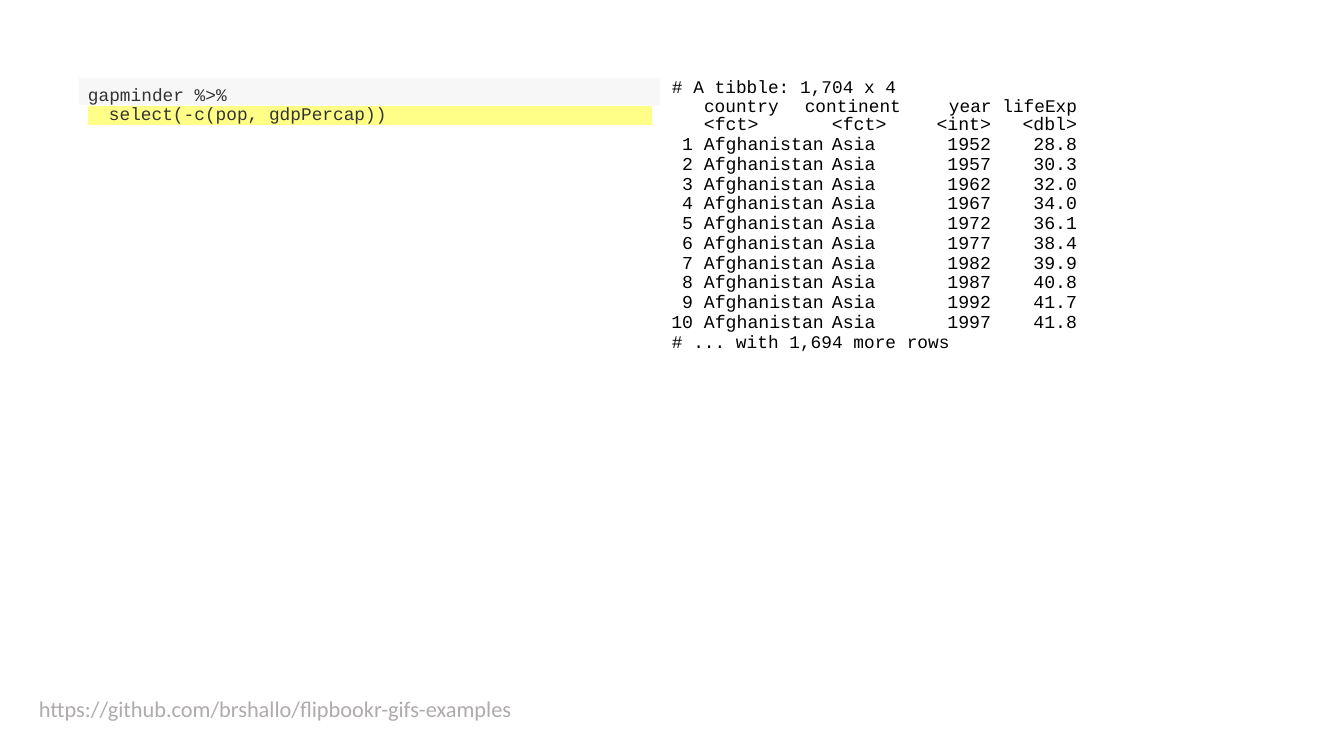
from dataclasses import dataclass

from lxml import etree
from pptx import Presentation
from pptx.dml.color import RGBColor
from pptx.enum.shapes import MSO_SHAPE
from pptx.enum.text import MSO_ANCHOR, PP_ALIGN
from pptx.oxml.ns import qn
from pptx.util import Pt

RECT = MSO_SHAPE.RECTANGLE
TOP = MSO_ANCHOR.TOP
LEFT, RIGHT = PP_ALIGN.LEFT, PP_ALIGN.RIGHT
EMU_PER_PX = 914400 / 100.8
NO_GRID_STYLE = "{2D5ABB26-0587-4C30-8999-92F81FD0307C}"


@dataclass(frozen=True)
class Theme:
    code_font: str = "Courier New"
    link_font: str = "Calibri"
    code_color: str = "333333"
    output_color: str = "000000"
    link_color: str = "AFABAB"
    code_fill: str = "F7F7F7"
    highlight_fill: str = "FFFF87"
    code_size: float = 12.7
    table_size: float = 13
    empty_size: float = 10
    link_size: float = 16


THEME = Theme()


def px(n):
    return round(n * EMU_PER_PX)


def write(p, text, font, size, color, align=LEFT, indent=0, leading=None, tab=None):
    pPr = p._p.get_or_add_pPr()
    pPr.set("marL", str(px(indent)))
    pPr.set("indent", "0")
    p.alignment = align
    if leading:
        p.line_spacing = Pt(leading)
    if tab:
        tabs = etree.SubElement(pPr, qn("a:tabLst"))
        etree.SubElement(tabs, qn("a:tab"), pos=str(px(tab)), algn="l")
    if not text:
        etree.SubElement(p._p, qn("a:endParaRPr"), sz=str(round(THEME.empty_size * 100)))
        return
    r = p.add_run()
    r.text = text
    r.font.name = font
    r.font.size = Pt(size)
    r.font.color.rgb = RGBColor.from_string(color)


class Page:
    def __init__(self, prs, theme):
        self.theme = theme
        self.s = prs.slides.add_slide(prs.slide_layouts[6])

    def frame(self, sp, insets):
        tf = sp.text_frame
        tf.word_wrap = True
        tf.vertical_anchor = TOP
        tf.margin_left, tf.margin_top, tf.margin_right, tf.margin_bottom = map(px, insets)
        return tf

    def code_line(self, box, text, fill, top=0, **fmt):
        t = self.theme
        sp = self.s.shapes.add_shape(RECT, *map(px, box))
        sp.shadow.inherit = False
        sp.fill.solid()
        sp.fill.fore_color.rgb = RGBColor.from_string(fill)
        sp.line.fill.background()
        tf = self.frame(sp, (0, top, 0, 0))
        write(tf.paragraphs[0], text, t.code_font, t.code_size, t.code_color, **fmt)

    def output(self, box, lines, top=1):
        t = self.theme
        tf = self.frame(self.s.shapes.add_textbox(*map(px, box)), (0, top, 0, 0))
        for i, (text, fmt) in enumerate(lines):
            p = tf.add_paragraph() if i else tf.paragraphs[0]
            write(p, text, t.code_font, t.code_size, t.output_color, **fmt)

    def link(self, box, text):
        t = self.theme
        tf = self.frame(self.s.shapes.add_textbox(*map(px, box)), (10, 5, 10, 5))
        write(tf.paragraphs[0], text, t.link_font, t.link_size, t.link_color)

    def table(self, x, y, height, columns, rows):
        t = self.theme
        width = sum(w for w, _, _ in columns)
        tbl = self.s.shapes.add_table(
            len(rows), len(columns), px(x), px(y), px(width), px(height)).table
        tbl.first_row = tbl.horz_banding = False
        tbl._tbl.tblPr.find(qn("a:tableStyleId")).text = NO_GRID_STYLE
        for row in tbl.rows:
            row.height = px(height) // len(rows)
        for j, (w, align, gap) in enumerate(columns):
            tbl.columns[j].width = px(w)
            for i, values in enumerate(rows):
                cell = tbl.cell(i, j)
                cell.fill.background()
                cell.vertical_anchor = TOP
                cell.margin_left = cell.margin_top = cell.margin_bottom = 0
                cell.margin_right = px(gap)
                write(cell.text_frame.paragraphs[0], values[j], t.code_font,
                      t.table_size, t.output_color, align=align,
                      indent=6 if align == LEFT else 0, leading=13.8)


def main():
    prs = Presentation()
    prs.slide_width, prs.slide_height = px(1344), px(756)
    page = Page(prs, THEME)

    page.code_line((79, 78, 581, 27), "gapminder %>%", THEME.code_fill, top=6, indent=9)
    page.code_line((88, 106, 564, 19), "select(-c(pop, gdpPercap))",
                   THEME.highlight_fill, indent=21, leading=13.1)

    page.output((670, 74, 258, 43), [
        ("# A tibble: 1,704 x 4", dict(indent=2, leading=14.1)),
        ("country\tcontinent", dict(indent=34, leading=14.1, tab=136)),
    ], top=3)
    page.output((948, 93, 131, 23), [("year lifeExp", dict(indent=1))], top=2)

    life_exp = ["28.8", "30.3", "32.0", "34.0", "36.1",
                "38.4", "39.9", "40.8", "41.7", "41.8"]
    rows = [("", "<fct>", "<fct>", "<int>", "<dbl>")]
    rows += [(str(i + 1), "Afghanistan", "Asia", str(1952 + 5 * i), value)
             for i, value in enumerate(life_exp)]
    columns = [(30, RIGHT, 5), (128, LEFT, 0), (86, LEFT, 0),
               (96, RIGHT, 17), (72, RIGHT, 3)]
    page.table(668, 117, 217, columns, rows)

    page.output((670, 330, 280, 23), [("# ... with 1,694 more rows", dict(indent=2))])
    page.link((29, 690, 629, 44), "https://github.com/brshallo/flipbookr-gifs-examples")
    prs.save("out.pptx")


if __name__ == "__main__":
    main()
